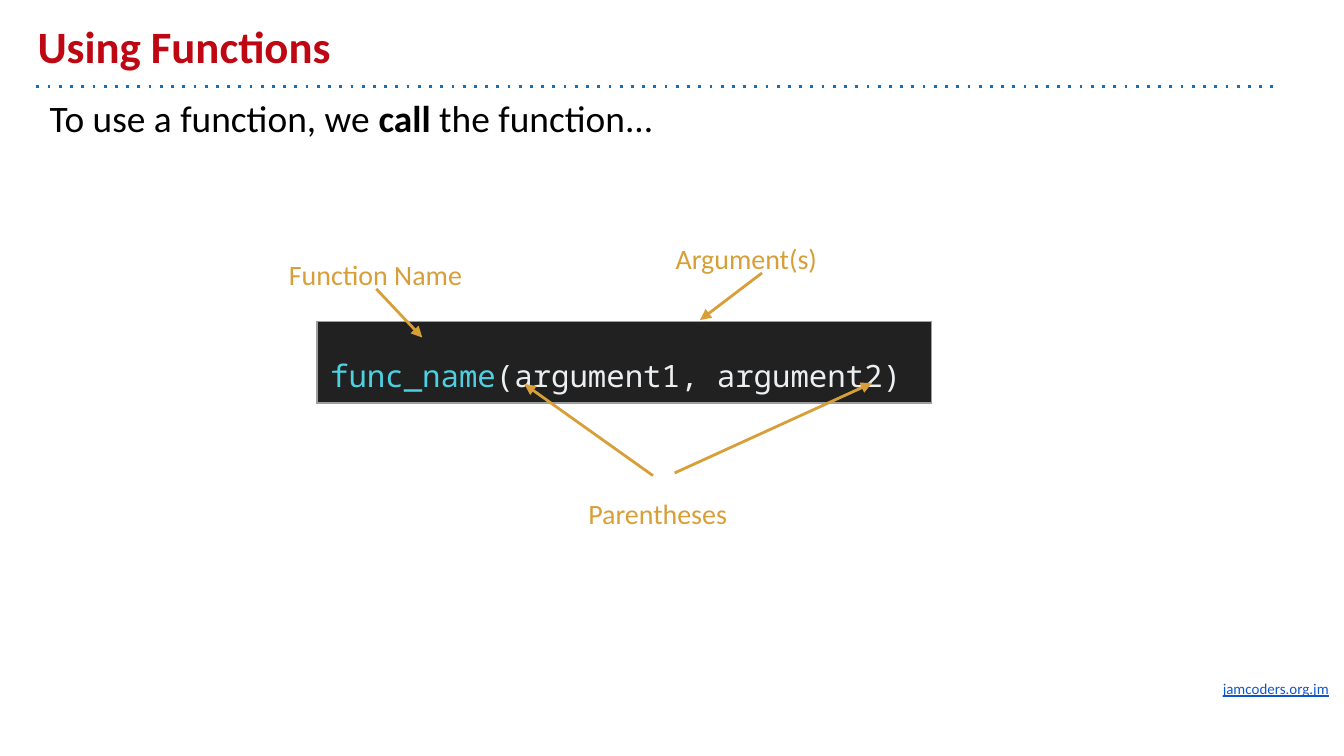
from dataclasses import dataclass
from typing import NamedTuple, Optional

import pptx
import pptx.dml.color
import pptx.enum.shapes
import pptx.enum.text
import pptx.oxml.ns
import pptx.util
from lxml import etree

Cm, Pt = pptx.util.Cm, pptx.util.Pt
RGB = pptx.dml.color.RGBColor.from_string
Anchor = pptx.enum.text.MSO_ANCHOR
qn = pptx.oxml.ns.qn


@dataclass(frozen=True)
class Theme:
    font: str = "Calibri"
    mono: str = "Noto Sans Mono"
    title: str = "BE0712"
    body: str = "000000"
    link: str = "1155CC"
    rule: str = "1072BD"
    note: str = "D89F39"
    code_bg: str = "212121"
    code_name: str = "4DD0E1"
    code_text: str = "ECEFF1"
    border: str = "9E9E9E"
    title_size: float = 24
    body_size: float = 20
    code_size: float = 16.5
    note_size: float = 15
    link_size: float = 8
    line_width: float = 1.5
    border_width: float = 0.75
    inset: float = 0.25


class Label(NamedTuple):
    text: str
    x: float
    y: float


class Line(NamedTuple):
    x1: float
    y1: float
    x2: float
    y2: float


T = Theme()

LABELS = [
    Label("Function Name", 5.21, 4.62),
    Label("Parentheses", 10.87, 9.14),
    Label("Argument(s)", 12.52, 4.32),
]
ARROWS = [
    Line(7.11, 5.46, 7.98, 6.38),
    Line(12.34, 8.99, 9.91, 7.26),
    Line(12.75, 8.94, 16.48, 7.24),
    Line(14.4, 5.16, 13.23, 6.05),
]


def add_run(p, text: str, *, size: float, color: str, font: str = T.font,
            bold: bool = False, underline: bool = False) -> None:
    r = p.add_run()
    r.text = text
    r.font.name, r.font.size = font, Pt(size)
    r.font.bold, r.font.underline = bold, underline
    r.font.color.rgb = RGB(color)


def add_box(s, x: float, y: float, w: float, h: float, anchor=Anchor.TOP):
    """Add a wrapping text box and return its first paragraph."""
    tf = s.shapes.add_textbox(Cm(x), Cm(y), Cm(w), Cm(h)).text_frame
    tf.word_wrap = True
    tf.vertical_anchor = anchor
    tf.margin_left = tf.margin_right = tf.margin_top = tf.margin_bottom = Cm(T.inset)
    return tf.paragraphs[0]


def add_line(s, line: Line, color: str, *, dash: Optional[str] = None,
             arrow: bool = False) -> None:
    sp = s.shapes.add_connector(pptx.enum.shapes.MSO_CONNECTOR.STRAIGHT,
                                *(Cm(v) for v in line))
    sp.line.color.rgb = RGB(color)
    sp.line.width = Pt(T.line_width)
    props = sp._element.spPr
    ln = props.find(qn("a:ln"))
    if dash:
        etree.SubElement(ln, qn("a:prstDash"), val=dash)
    if arrow:
        etree.SubElement(ln, qn("a:tailEnd"), type="triangle")
    etree.SubElement(props, qn("a:effectLst"))


def add_borders(cell) -> None:
    props = cell._tc.get_or_add_tcPr()
    for side in "LRTB":
        ln = etree.SubElement(props, qn(f"a:ln{side}"), w=str(Pt(T.border_width)))
        fill = etree.SubElement(ln, qn("a:solidFill"))
        etree.SubElement(fill, qn("a:srgbClr"), val=T.border)


def add_code(s, x: float, y: float, w: float, h: float) -> None:
    table = s.shapes.add_table(1, 1, Cm(x), Cm(y), Cm(w), Cm(h)).table
    table.first_row = table.horz_banding = False
    cell = table.cell(0, 0)
    add_borders(cell)
    cell.fill.solid()
    cell.fill.fore_color.rgb = RGB(T.code_bg)
    cell.vertical_anchor = Anchor.MIDDLE
    cell.margin_left = cell.margin_right = cell.margin_top = cell.margin_bottom = Cm(T.inset)
    p = cell.text_frame.paragraphs[0]
    p.line_spacing = 1.5
    for text, color in (("func_name", T.code_name),
                        ("(argument1, argument2)", T.code_text)):
        add_run(p, text, size=T.code_size, color=color, font=T.mono)


def main() -> None:
    prs = pptx.Presentation()
    prs.slide_width, prs.slide_height = Cm(25.4), Cm(14.29)
    s = prs.slides.add_slide(prs.slide_layouts[6])

    # Footer and title rule
    p = add_box(s, 22.86, 12.67, 2.79, 0.86)
    add_run(p, "jamcoders.org.jm", size=T.link_size, color=T.link, underline=True)
    add_line(s, Line(0.69, 1.63, 24.13, 1.63), T.rule, dash="dot")

    # Title and body
    p = add_box(s, 0.46, 0.25, 22.86, 1.37, Anchor.BOTTOM)
    add_run(p, "Using Functions", size=T.title_size, color=T.title, bold=True)
    p = add_box(s, 0.69, 1.55, 23.44, 11.53)
    for text, bold in (("To use a function, we ", False), ("call", True),
                       (" the function...", False)):
        add_run(p, text, size=T.body_size, color=T.body, bold=bold)

    # Code cell with its annotations
    add_code(s, 5.99, 6.07, 11.61, 1.3)
    for arrow in ARROWS:
        add_line(s, arrow, T.note, arrow=True)
    for label in LABELS:
        p = add_box(s, label.x, label.y, 3.94, 1.14)
        add_run(p, label.text, size=T.note_size, color=T.note)

    prs.save("out.pptx")


if __name__ == "__main__":
    main()
